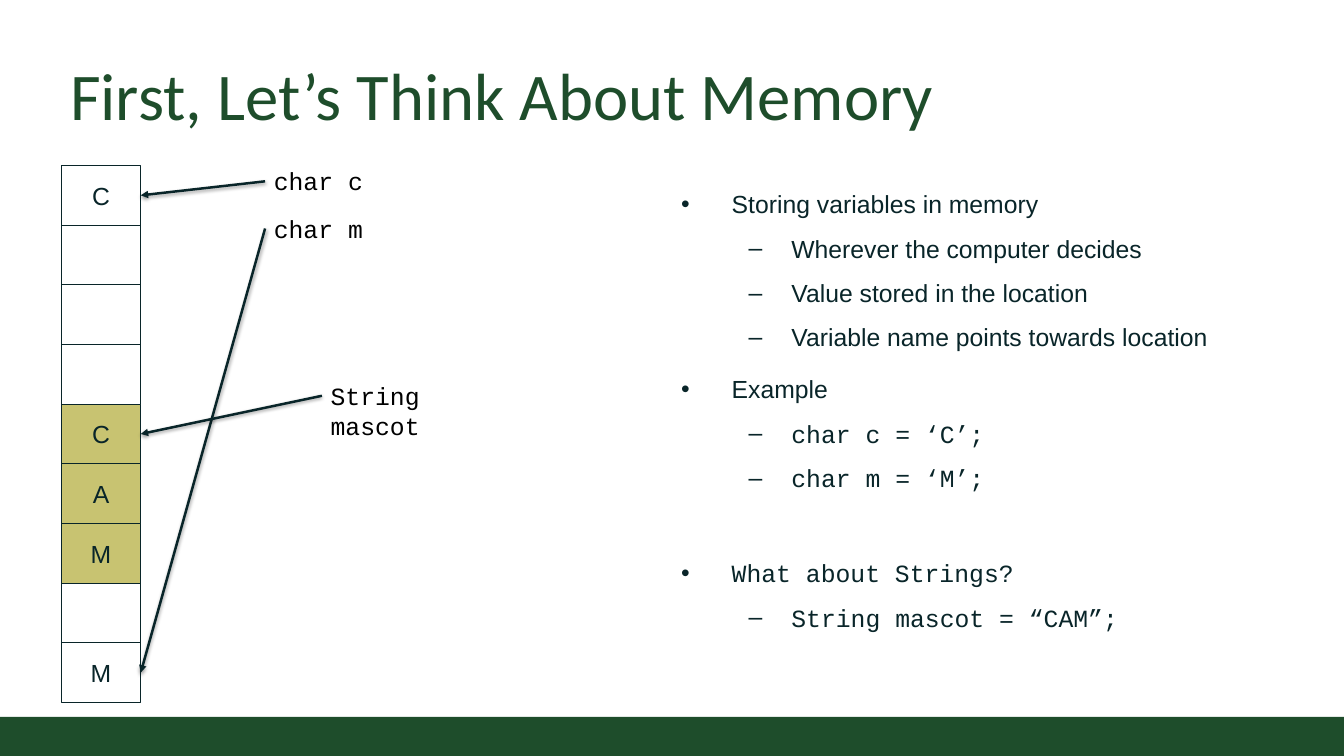
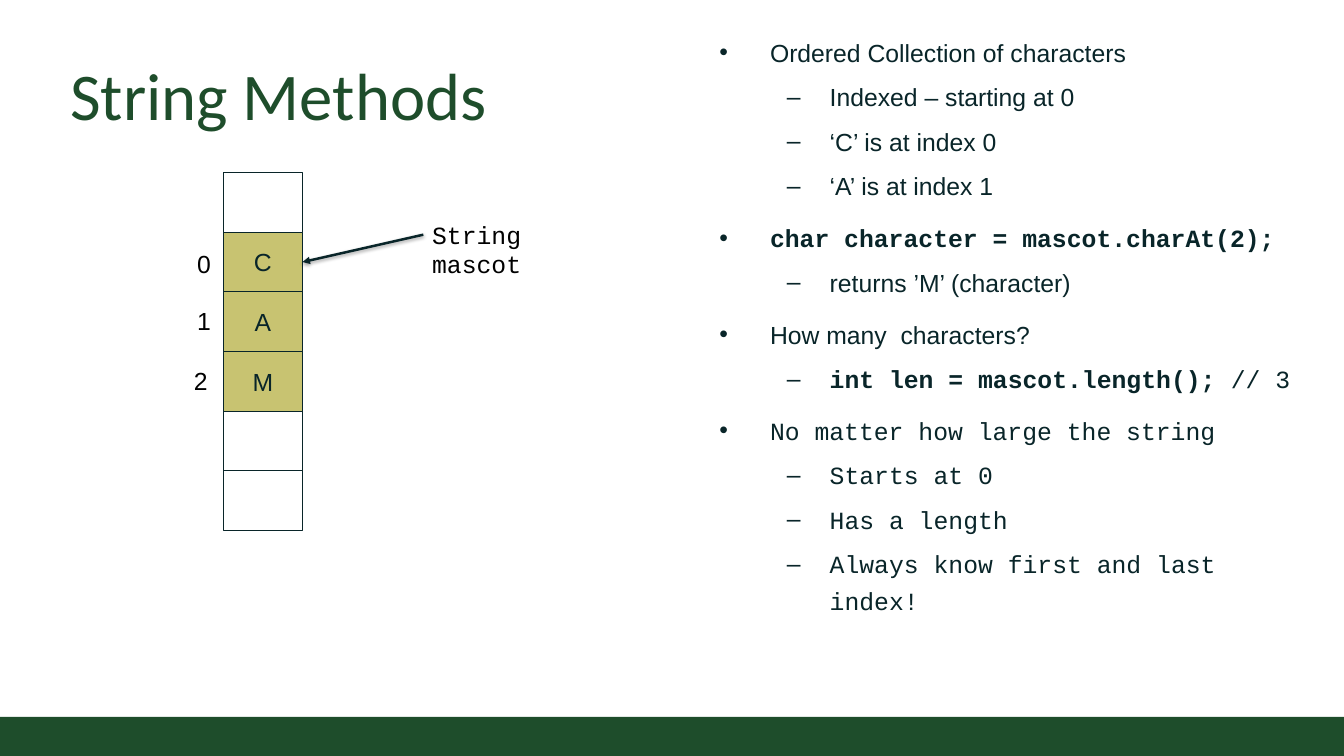
"""Two lecture slides on how characters and strings sit in memory."""
from lxml import etree
from pptx import Presentation
from pptx.dml.color import RGBColor
from pptx.enum import shapes, text
from pptx.oxml import ns
from pptx.util import Pt

GREEN = RGBColor(0x1E, 0x4D, 0x2B)
INK = RGBColor(0x09, 0x25, 0x29)
GOLD = RGBColor(0xC8, 0xC3, 0x71)
BLACK = RGBColor(0, 0, 0)
SANS, HEAD, MONO = "Arial", "Calibri", "Courier New"
WIDE, HIGH = 1088, 612
BAND = 31.7
SIZE = 20
CELL_W, CELL_H = 64.2, 48.3
LEVELS = [("•", 41, -41, 6), ("–", 89.3, -34.6, 0)]

MEMORY = [
    (0, "Storing variables in memory", SANS),
    (1, "Wherever the computer decides", SANS),
    (1, "Value stored in the location", SANS),
    (1, "Variable name points towards location", SANS),
    (0, "Example", SANS),
    (1, "char c = ‘C’;", MONO),
    (1, "char m = ‘M’;", MONO),
    (0, "What about Strings?", MONO),
    (1, "String mascot = “CAM”;", MONO),
]
METHODS = [
    (0, "Ordered Collection of characters", SANS),
    (1, "Indexed – starting at 0", SANS),
    (1, "‘C’ is at index 0", SANS),
    (1, "‘A’ is at index 1", SANS),
    (0, "char character = mascot.charAt(2);", MONO, ""),
    (1, "returns ’M’ (character)", SANS),
    (0, "How many  characters?", SANS),
    (1, "int len = mascot.length(); ", MONO, "// 3"),
    (0, "No matter how large the string", MONO),
    (1, "Starts at 0", MONO),
    (1, "Has a length", MONO),
    (1, "Always know first and last index!", MONO),
]


def add(node, tag, **attrs):
    """Append a DrawingML child element."""
    return etree.SubElement(node, ns.qn("a:" + tag), attrs)


def style(para, name, size, color):
    """Set the font of a whole paragraph."""
    font = para.font
    font.name, font.size = name, Pt(size)
    font.color.rgb = color


def frame(slide, x, y, w, h, pad=3.6):
    """Add a wrapping text box and return its text frame."""
    box = slide.shapes.add_textbox(Pt(x), Pt(y), Pt(w), Pt(h)).text_frame
    box.word_wrap = True
    box.margin_left = box.margin_right = Pt(7.2)
    box.margin_top = box.margin_bottom = Pt(pad)
    return box


def label(slide, words, x, y, w, name=MONO):
    """Add a short black label."""
    para = frame(slide, x, y, w, 31.7).paragraphs[0]
    para.text = words
    style(para, name, SIZE, BLACK)


def block(slide, x, y, w, h, fill=None, line=None):
    """Add a plain rectangle."""
    rect = slide.shapes.add_shape(
        shapes.MSO_SHAPE.RECTANGLE, Pt(x), Pt(y), Pt(w), Pt(h))
    rect.shadow.inherit = False
    if fill is None:
        rect.fill.background()
    else:
        rect.fill.solid()
        rect.fill.fore_color.rgb = fill
    if line is None:
        rect.line.fill.background()
    else:
        rect.line.color.rgb = line
        rect.line.width = Pt(0.75)
    return rect


def column(slide, x, y, cells, first):
    """Stack memory cells, with three gold ones from index first."""
    for i, mark in enumerate(cells):
        fill = GOLD if first <= i < first + 3 else None
        rect = block(slide, x, y + i * CELL_H, CELL_W, CELL_H, fill, INK)
        if mark:
            rect.text_frame.vertical_anchor = text.MSO_ANCHOR.MIDDLE
            para = rect.text_frame.paragraphs[0]
            para.text = mark
            para.alignment = text.PP_ALIGN.CENTER
            style(para, SANS, SIZE, INK)


def arrow(slide, x, y, end_x, end_y):
    """Draw a shadowed arrow from a label to a cell."""
    line = slide.shapes.add_connector(
        shapes.MSO_CONNECTOR.STRAIGHT, Pt(x), Pt(y), Pt(end_x), Pt(end_y))
    line.line.color.rgb = INK
    line.line.width = Pt(2)
    props = line._element.spPr
    add(props.find(ns.qn("a:ln")), "tailEnd", type="triangle")
    shade = add(add(props, "effectLst"), "outerShdw",
                blurRad=str(Pt(3.1)), dist=str(Pt(1.6)), dir="5400000",
                rotWithShape="0")
    add(add(shade, "srgbClr", val=str(BLACK)), "alpha", val="38000")


def bullets(slide, x, y, w, h, items, gaps=None):
    """Fill a box with two-level bullets; gaps overrides space before."""
    box = frame(slide, x, y, w, h, 7.2)
    for i, (level, words, name, *rest) in enumerate(items):
        para = box.paragraphs[0] if i == 0 else box.add_paragraph()
        sign, left, hang, above = LEVELS[level]
        para.level = level
        para.line_spacing = 1.25
        para.space_after = Pt(6)
        if i:
            para.space_before = Pt((gaps or {}).get(i, above))
        props = para._p.get_or_add_pPr()
        props.set("marL", str(Pt(left)))
        props.set("indent", str(Pt(hang)))
        add(props, "buFont", typeface=SANS)
        add(props, "buChar", char=sign)
        style(para, name, SIZE, INK)
        run = para.add_run()
        run.text = words
        if rest:
            run.font.bold = True
            if rest[0]:
                para.add_run().text = rest[0]


def start(deck, title):
    """Add a slide with the shared band and title."""
    slide = deck.slides.add_slide(deck.slide_layouts[6])
    block(slide, 0, HIGH - BAND, WIDE, BAND, GREEN)
    box = frame(slide, 49.7, 35.3, 989.3, 79.9, 7.2)
    box.vertical_anchor = text.MSO_ANCHOR.BOTTOM
    para = box.paragraphs[0]
    para.text = title
    style(para, HEAD, 54, GREEN)
    return slide


def memory(deck):
    """Build the slide on variables in memory."""
    slide = start(deck, "First, Let’s Think About Memory")
    bullets(slide, 544.3, 139.7, 494.6, 370, MEMORY, {7: 41})
    x, y = 49.7, 134
    column(slide, x, y, ["C", "", "", "", "C", "A", "M", "", "M"], 4)
    for words, left, top, wide, cell in [
            ("char c", 214.6, 131, 92, 0),
            ("char m", 214.6, 169.2, 92, 8),
            ("String mascot", 260.6, 304.6, 120, 4)]:
        label(slide, words, left, top, wide)
        arrow(slide, left, top + 15.8, x + CELL_W, y + (cell + 0.5) * CELL_H)


def methods(deck):
    """Build the slide on string methods."""
    slide = start(deck, "String Methods")
    bullets(slide, 575.3, 17.3, 483.8, 533.5, METHODS)
    x, y = 180.7, 139.7
    column(slide, x, y, ["", "C", "A", "M", "", ""], 1)
    label(slide, "String mascot", 342.7, 174.2, 120)
    arrow(slide, 342.7, 190, x + CELL_W, y + 1.5 * CELL_H)
    for mark, left, top in [("0", 152.6, 198), ("1", 152.6, 244.1),
                            ("2", 149.8, 293)]:
        label(slide, mark, left, top, 26, SANS)


def main():
    """Build and save the deck."""
    deck = Presentation()
    deck.slide_width, deck.slide_height = Pt(WIDE), Pt(HIGH)
    memory(deck)
    methods(deck)
    deck.save("out.pptx")


if __name__ == "__main__":
    main()
